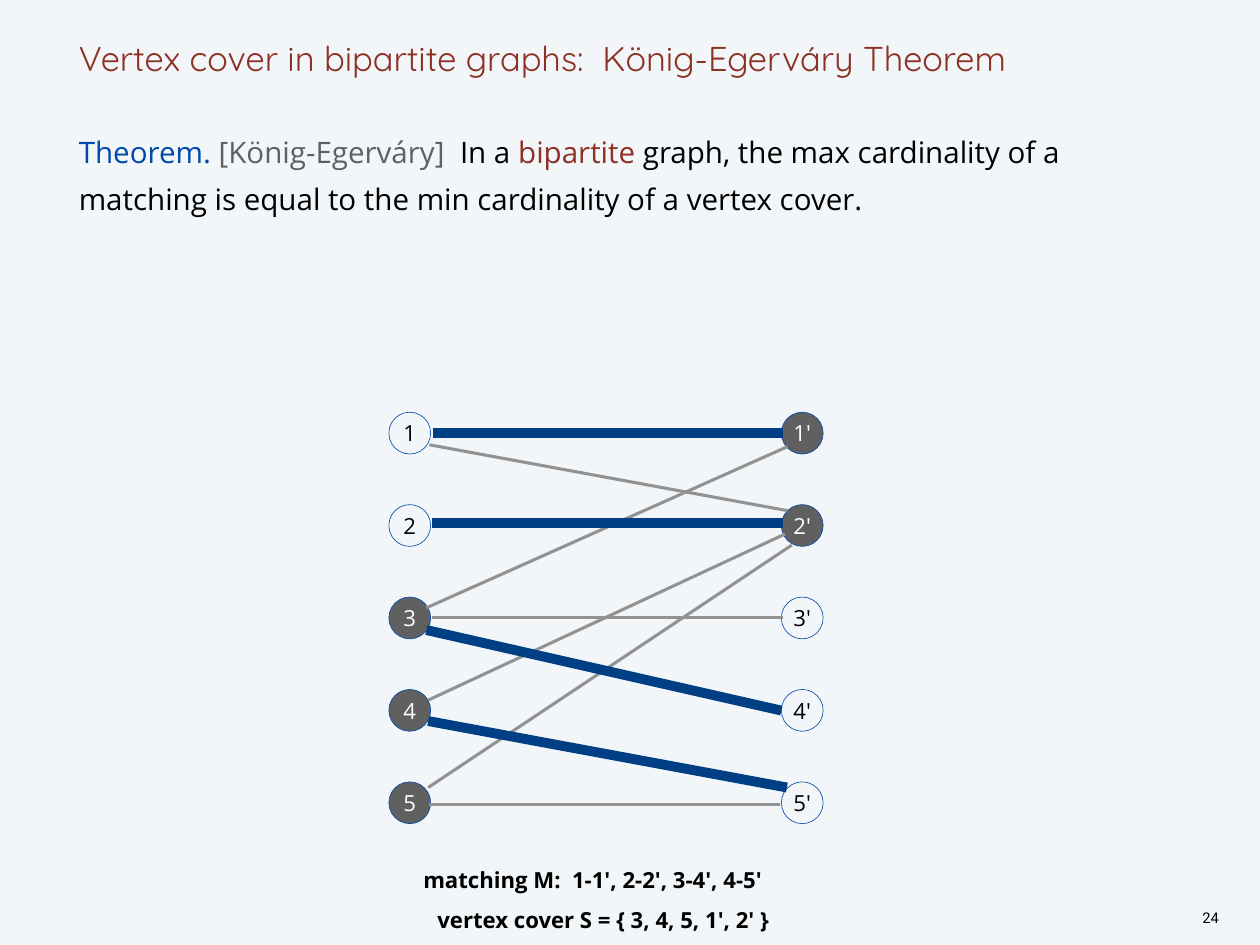
from lxml import etree
from pptx import Presentation
from pptx import util as u
from pptx.dml import color
from pptx.enum import shapes, text
from pptx.oxml import ns

BLACK, WHITE, RED, GRAY = "000000", "FFFFFF", "8D3124", "606060"
BLUE, EDGE, MATCHED = "0048AA", "929292", "003F83"
LEFT, RIGHT, TOP, PITCH, SIZE = 316, 635, 335, 75.1, 34


def rgb(value):
    """Turn a hex string into a colour."""
    return color.RGBColor.from_string(value)


class Sketch:
    """Hold the style and the slide being drawn."""

    font = "Open Sans"

    def __init__(self, slide, background):
        """Keep the slide and paint its background."""
        self.slide = slide
        slide.background.fill.solid()
        slide.background.fill.fore_color.rgb = rgb(background)

    def add_words(self, shape, runs, size, align, anchor, font=None, spacing=None,
                  bold=False, wrap=True, inset=0):
        """Put coloured runs into a shape."""
        frame = shape.text_frame
        frame.word_wrap = wrap
        frame.vertical_anchor = anchor
        frame.margin_left = frame.margin_right = u.Pt(inset)
        frame.margin_top = frame.margin_bottom = u.Pt(inset)
        paragraph = frame.paragraphs[0]
        paragraph.alignment = align
        if spacing:
            paragraph.line_spacing = spacing
        for words, tint in runs:
            run = paragraph.add_run()
            run.text = words
            run.font.name = font or self.font
            run.font.size = u.Pt(size)
            run.font.bold = bold
            run.font.color.rgb = rgb(tint)

    def label(self, box, runs, size, align=text.PP_ALIGN.LEFT,
              anchor=text.MSO_ANCHOR.TOP, **style):
        """Add a text box."""
        shape = self.slide.shapes.add_textbox(*map(u.Pt, box))
        self.add_words(shape, runs, size, align, anchor, **style)

    def node(self, left, top, name, covered):
        """Add a graph node, filled if it is in the vertex cover."""
        shape = self.slide.shapes.add_shape(
            shapes.MSO_SHAPE.OVAL, *map(u.Pt, (left, top, SIZE, SIZE)))
        shape.shadow.inherit = False
        shape.line.color.rgb = rgb(BLUE)
        shape.line.width = u.Pt(0.5)
        if covered:
            shape.fill.solid()
            shape.fill.fore_color.rgb = rgb(GRAY)
        else:
            shape.fill.background()
        self.add_words(shape, [(name, WHITE if covered else BLACK)], 18,
                       text.PP_ALIGN.CENTER, text.MSO_ANCHOR.MIDDLE, wrap=False)

    def edge(self, ends, tint, width):
        """Add a straight edge between two points."""
        line = self.slide.shapes.add_connector(
            shapes.MSO_CONNECTOR.STRAIGHT, *map(u.Pt, ends))
        line.line.color.rgb = rgb(tint)
        line.line.width = u.Pt(width)
        etree.SubElement(line._element.spPr, ns.qn("a:effectLst"))


presentation = Presentation()
presentation.slide_width, presentation.slide_height = u.Pt(1024), u.Pt(768)
sketch = Sketch(presentation.slides.add_slide(presentation.slide_layouts[6]), "F2F6F9")

sketch.label((64, 0, 896, 64),
             [("Vertex cover in bipartite graphs:  König-Egerváry Theorem", RED)], 28,
             anchor=text.MSO_ANCHOR.BOTTOM, font="Quicksand", spacing=u.Pt(38))
sketch.label((64, 100, 896, 644), [
    ("Theorem. ", BLUE), ("[König-Egerváry]", GRAY), ("  In a ", BLACK), ("bipartite", RED),
    (" graph, the max cardinality of a matching is equal to the min cardinality"
     " of a vertex cover.", BLACK)], 24, spacing=u.Pt(38))
sketch.label((973, 736, 22, 17), [("24", BLACK)], 12, text.PP_ALIGN.CENTER,
             font="Roboto", spacing=u.Pt(14), wrap=False, inset=3)

cover = {"3", "4", "5", "1'", "2'"}
for left, mark in ((LEFT, ""), (RIGHT, "'")):
    for row in range(5):
        name = f"{row + 1}{mark}"
        sketch.node(left, TOP + row * PITCH, name, name in cover)

matching = [(352, 352, 636, 352), (351, 425, 636, 425),
            (346.5, 512, 635, 577.5), (348, 586, 639.5, 640)]
others = [(351, 502, 636, 502), (349, 361.5, 640, 415), (348, 640, 643.5, 443),
          (348, 569, 638, 434), (349, 654, 634, 654), (346.5, 494, 640, 363)]
for ends in others:
    sketch.edge(ends, EDGE, 2.5)
for ends in matching:
    sketch.edge(ends, EDGE, 2.5)
    sketch.edge(ends, MATCHED, 8)

for box, words in (((344, 698, 316, 21), "matching M:  1-1', 2-2', 3-4', 4-5'"),
                   ((355.5, 730, 293, 21), "vertex cover S = { 3, 4, 5, 1', 2' }")):
    sketch.label(box, [(words, BLACK)], 18, spacing=1.3, bold=True)

presentation.save("out.pptx")
